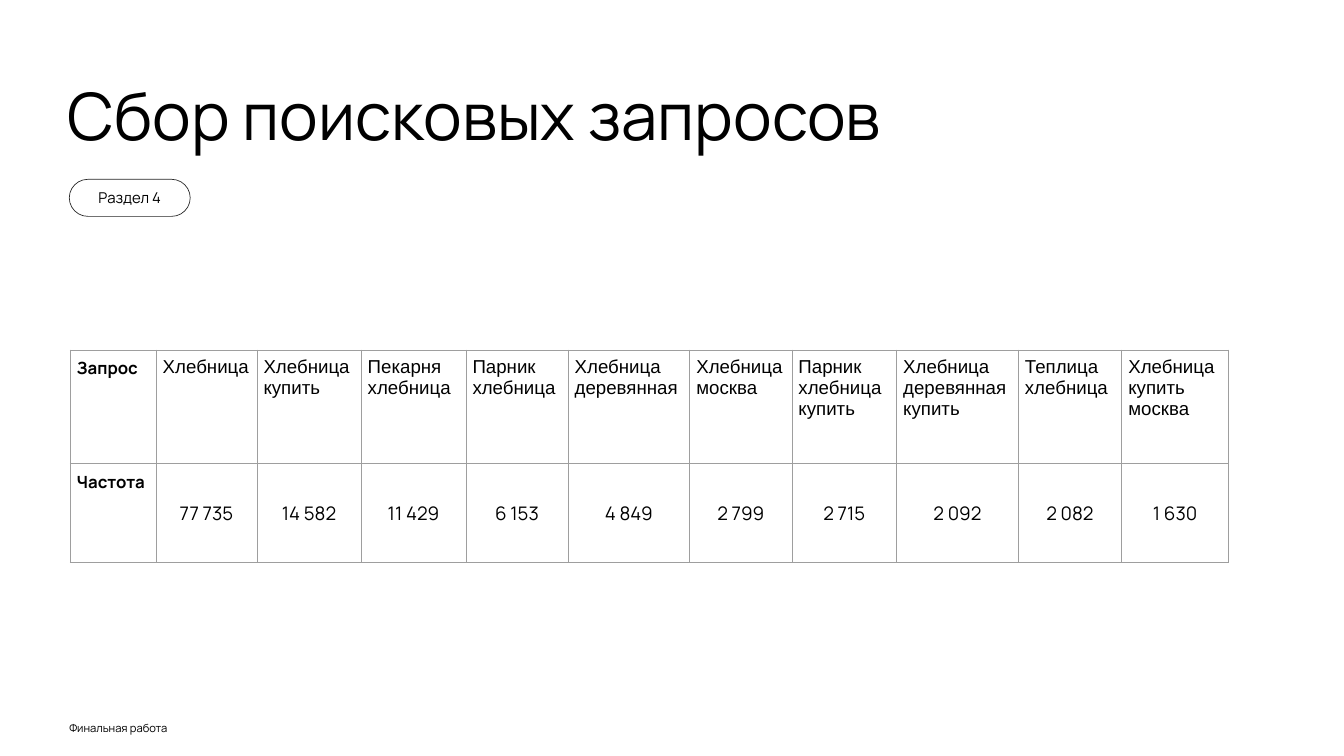
"""Build the slide with search queries and their frequencies."""
from lxml import etree
from pptx import Presentation
from pptx import util as u
from pptx.dml.color import RGBColor
from pptx.enum import shapes, text
from pptx.oxml.ns import qn

COLOURS = {"text": "000000", "outline": "262626", "border": "9E9E9E"}
QUERIES = [
    ("Хлебница", "77 735", 3.81),
    ("Хлебница\nкупить", "14 582", 3.94),
    ("Пекарня\nхлебница", "11 429", 3.96),
    ("Парник\nхлебница", "6 153", 3.86),
    ("Хлебница деревянная", "4 849", 4.6),
    ("Хлебница москва", "2 799", 3.86),
    ("Парник хлебница купить", "2 715", 3.96),
    ("Хлебница деревянная купить", "2 092", 4.6),
    ("Теплица хлебница", "2 082", 3.91),
    ("Хлебница купить москва", "1 630", 4.04),
]
COLUMNS = [("Запрос", "Частота", 3.25)] + QUERIES
ROW_HEIGHTS = [4.3, 3.73]


def write(frame, content, size, font="Manrope", bold=False, centred=False):
    for index, line in enumerate(content.split("\n")):
        paragraph = frame.add_paragraph() if index else frame.paragraphs[0]
        paragraph.alignment = text.PP_ALIGN.CENTER if centred else text.PP_ALIGN.LEFT
        run = paragraph.add_run()
        run.text = line
        run.font.size = u.Pt(size)
        run.font.name = font
        run.font.bold = bold
        run.font.color.rgb = RGBColor.from_string(COLOURS["text"])


def add_borders(cell):
    properties = cell._tc.get_or_add_tcPr()
    for side in ("lnL", "lnR", "lnT", "lnB"):
        line = etree.SubElement(properties, qn(f"a:{side}"), w=str(u.Pt(0.75)))
        fill = etree.SubElement(line, qn("a:solidFill"))
        etree.SubElement(fill, qn("a:srgbClr"), val=COLOURS["border"])


presentation = Presentation()
presentation.slide_width = u.Cm(50.8)
presentation.slide_height = u.Cm(28.58)
slide = presentation.slides.add_slide(presentation.slide_layouts[6])

for content, size, box in [
    ("Финальная работа", 12, (2.24, 27.08, 5.82, 0.89)),
    ("Сбор поисковых запросов", 70, (2.18, 2.67, 50.55, 6.38)),
]:
    frame = slide.shapes.add_textbox(*map(u.Cm, box)).text_frame
    frame.word_wrap = True
    frame.margin_left = frame.margin_right = u.Cm(0.38)
    frame.margin_top = frame.margin_bottom = u.Cm(0.18)
    write(frame, content, size)

section = slide.shapes.add_shape(
    shapes.MSO_SHAPE.ROUNDED_RECTANGLE, u.Cm(2.62), u.Cm(6.78), u.Cm(4.57), u.Cm(1.4))
section.adjustments[0] = 0.5
section.shadow.inherit = False
section.fill.background()
section.line.color.rgb = RGBColor.from_string(COLOURS["outline"])
section.line.width = u.Pt(0.75)
frame = section.text_frame
frame.vertical_anchor = text.MSO_ANCHOR.MIDDLE
frame.margin_left = frame.margin_right = u.Cm(0.25)
frame.margin_top = frame.margin_bottom = u.Cm(0.25)
write(frame, "Раздел 4", 16, centred=True)

table = slide.shapes.add_table(
    len(ROW_HEIGHTS), len(COLUMNS), u.Cm(2.65), u.Cm(13.23),
    u.Cm(sum(width for *_, width in COLUMNS)), u.Cm(sum(ROW_HEIGHTS))).table
table.first_row = table.horz_banding = False
for row, height in zip(table.rows, ROW_HEIGHTS):
    row.height = u.Cm(height)
for column, (query, frequency, width) in enumerate(COLUMNS):
    table.columns[column].width = u.Cm(width)
    for row, content in enumerate((query, frequency)):
        cell = table.cell(row, column)
        cell.margin_left = cell.margin_right = u.Cm(0.25)
        cell.margin_top = cell.margin_bottom = u.Cm(0.25)
        add_borders(cell)
        cell.fill.background()
        if column == 0:
            write(cell.text_frame, content, 18, bold=True)
        elif row == 0:
            write(cell.text_frame, content, 20, font="Arial")
        else:
            cell.vertical_anchor = text.MSO_ANCHOR.MIDDLE
            write(cell.text_frame, content, 20, centred=True)

presentation.save("out.pptx")
